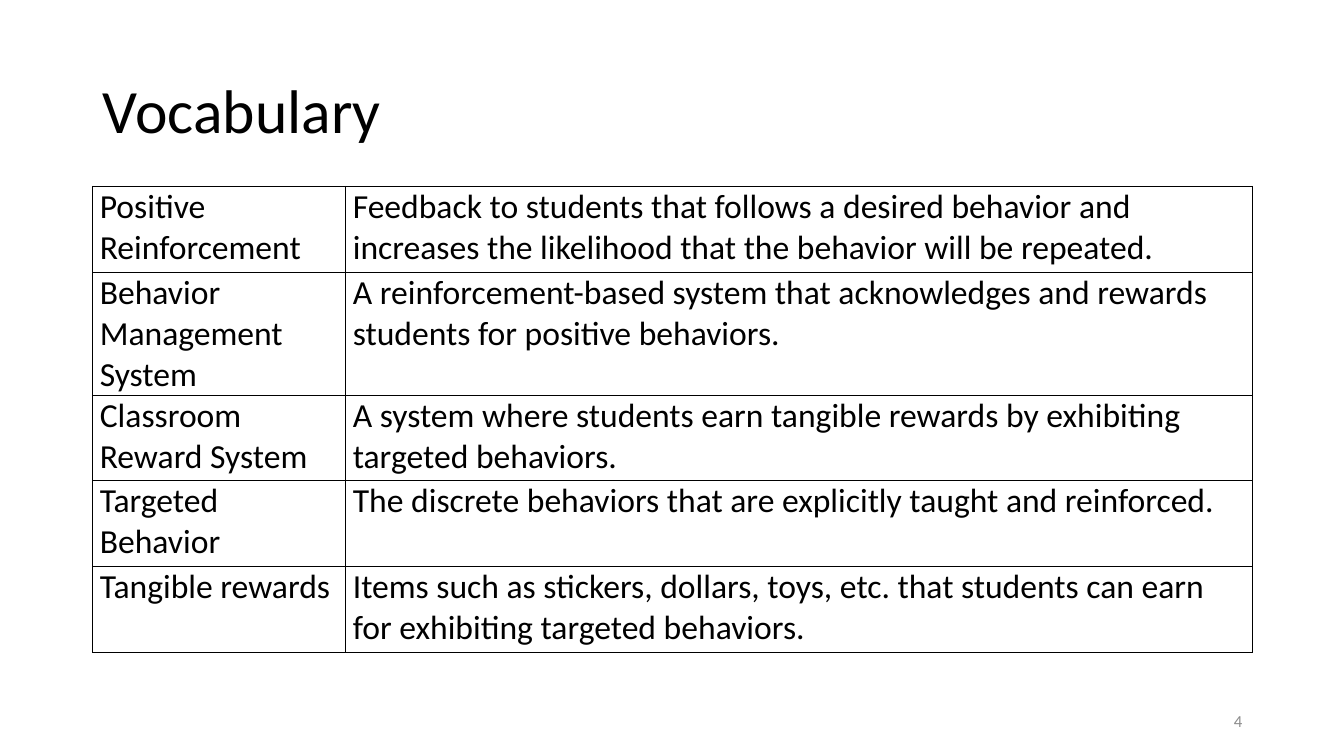
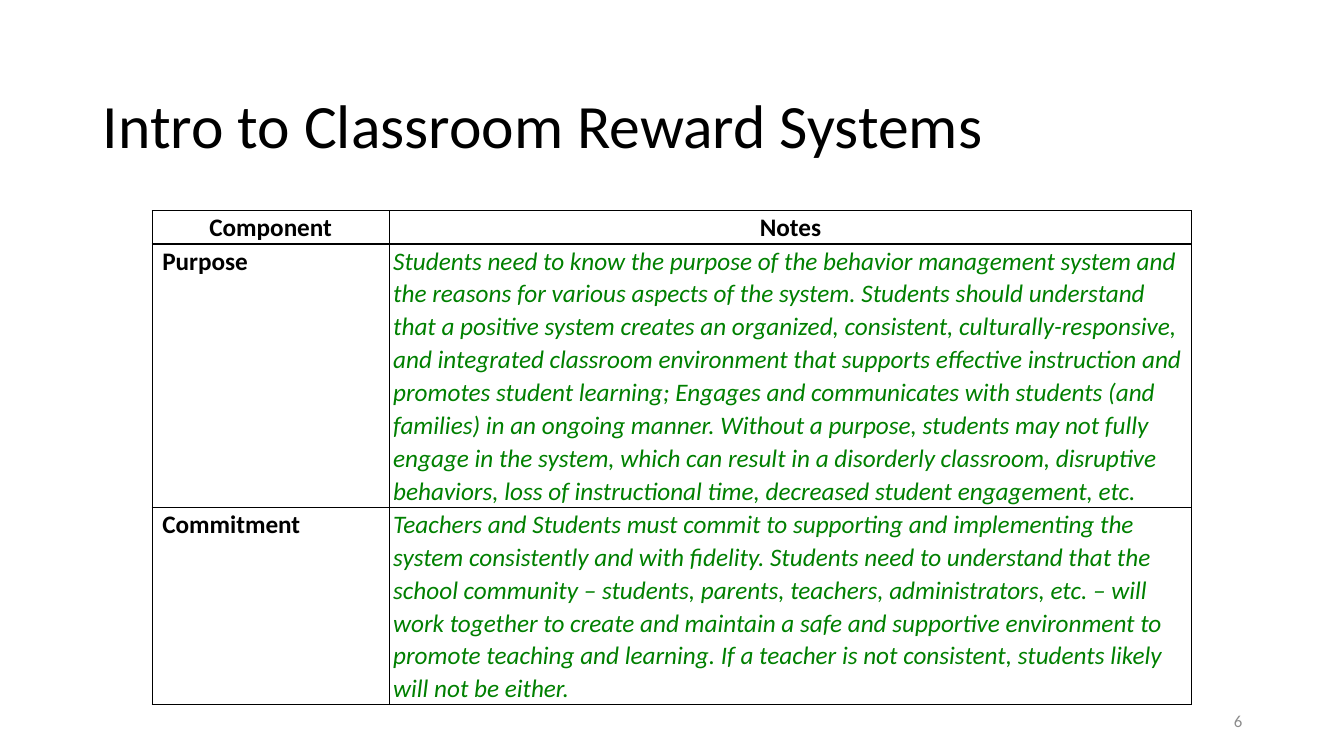
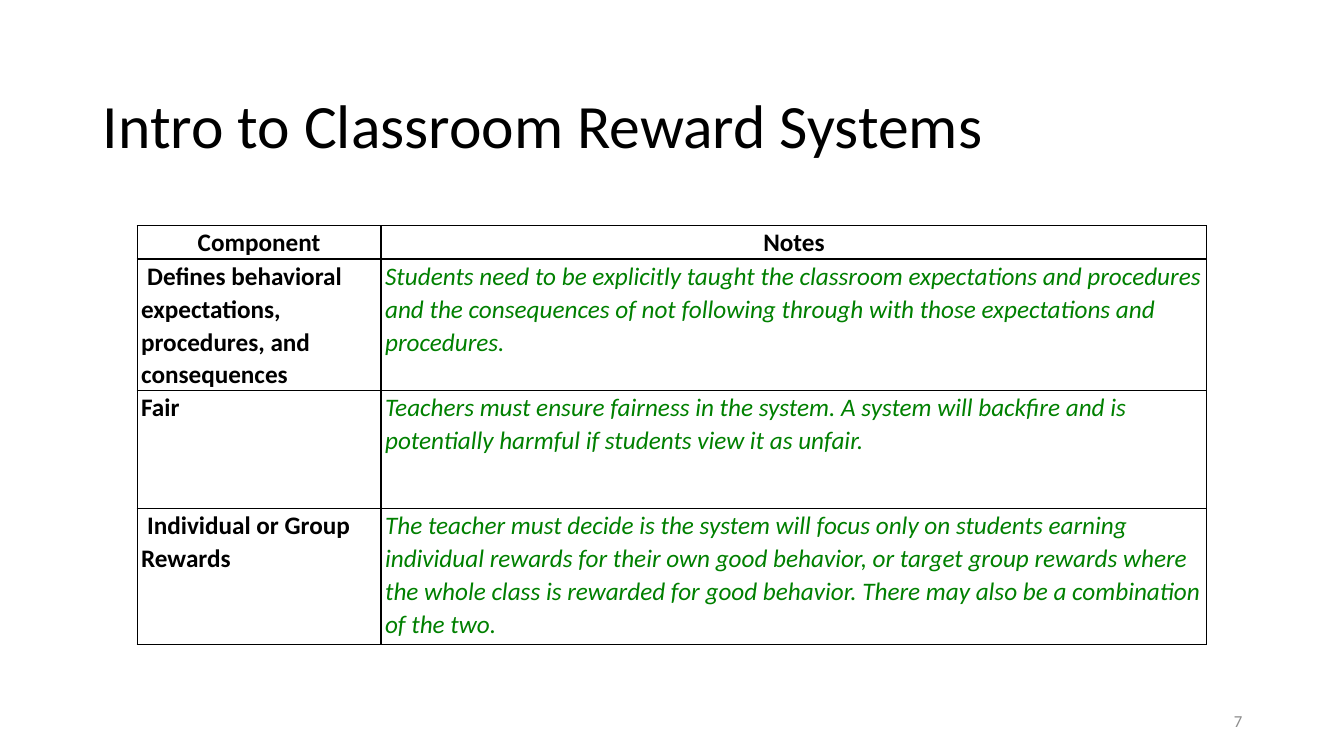
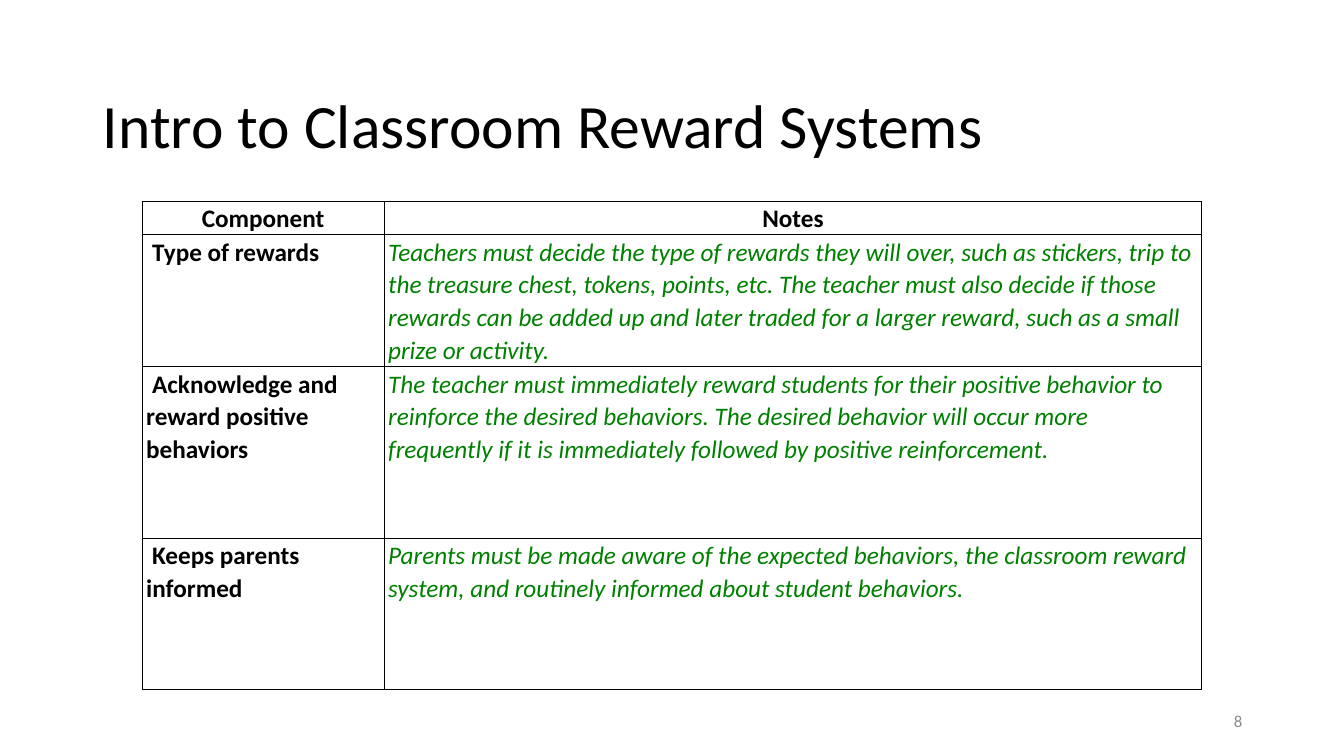
from lxml.etree import SubElement
from pptx import Presentation
from pptx.dml.color import RGBColor
from pptx.enum.text import MSO_ANCHOR, MSO_AUTO_SIZE, PP_ALIGN
from pptx.oxml.ns import qn
from pptx.util import Inches, Pt

BLACK = RGBColor(0x00, 0x00, 0x00)
GREEN = RGBColor(0x00, 0x80, 0x00)
GRAY = RGBColor(0x8C, 0x8C, 0x8C)
FONT = "Calibri"
INTRO = "Intro to Classroom Reward Systems"
HEAD = (0.33, "Component", "Notes", 0)
LEAD = 0.06  # first-line indent of most component names

# Each row: height, left text, right text, first-line indent of the left text
VOCAB = [
    (0.85, "Positive Reinforcement",
     "Feedback to students that follows a desired behavior and increases the "
     "likelihood that the behavior will be repeated.", 0),
    (1.22, "Behavior Management System",
     "A reinforcement-based system that acknowledges and rewards students for "
     "positive behaviors.", 0),
    (0.85, "Classroom Reward System",
     "A system where students earn tangible rewards by exhibiting targeted "
     "behaviors.", 0),
    (0.85, "Targeted Behavior",
     "The discrete behaviors that are explicitly taught and reinforced.", 0),
    (0.85, "Tangible rewards",
     "Items such as stickers, dollars, toys, etc. that students can earn for "
     "exhibiting targeted behaviors.", 0),
]
BASICS = [
    HEAD,
    (2.61, "Purpose",
     "Students need to know the purpose of the behavior management system and "
     "the reasons for various aspects of the system. Students should understand "
     "that a positive system creates an organized, consistent, "
     "culturally-responsive, and integrated classroom environment that supports "
     "effective instruction and promotes student learning; Engages and "
     "communicates with students (and families) in an ongoing manner. Without a "
     "purpose, students may not fully engage in the system, which can result in "
     "a disorderly classroom, disruptive behaviors, loss of instructional time, "
     "decreased student engagement, etc.", LEAD),
    (1.96, "Commitment",
     "Teachers and Students must commit to supporting and implementing the "
     "system consistently and with fidelity. Students need to understand that "
     "the school community – students, parents, teachers, administrators, etc. – "
     "will work together to create and maintain a safe and supportive "
     "environment to promote teaching and learning. If a teacher is not "
     "consistent, students likely will not be either.", LEAD),
]
RULES = [
    HEAD,
    (1.3, "Defines behavioral expectations, procedures, and consequences",
     "Students need to be explicitly taught the classroom expectations and "
     "procedures and the consequences of not following through with those "
     "expectations and procedures.", LEAD),
    (1.17, "Fair",
     "Teachers must ensure fairness in the system. A system will backfire and is "
     "potentially harmful if students view it as unfair.", 0),
    (1.35, "Individual or Group Rewards",
     "The teacher must decide is the system will focus only on students earning "
     "individual rewards for their own good behavior, or target group rewards "
     "where the whole class is rewarded for good behavior. There may also be a "
     "combination of the two.", LEAD),
]
REWARDS = [
    HEAD,
    (1.31, "Type of rewards",
     "Teachers must decide the type of rewards they will over, such as stickers, "
     "trip to the treasure chest, tokens, points, etc. The teacher must also "
     "decide if those rewards can be added up and later traded for a larger "
     "reward, such as a small prize or activity.", LEAD),
    (1.7, "Acknowledge and reward positive behaviors",
     "The teacher must immediately reward students for their positive behavior "
     "to reinforce the desired behaviors. The desired behavior will occur more "
     "frequently if it is immediately followed by positive reinforcement.", LEAD),
    (1.5, "Keeps parents informed",
     "Parents must be made aware of the expected behaviors, the classroom reward "
     "system, and routinely informed about student behaviors.", LEAD),
]

# Each slide: number, title, title top, table left, table top, columns, rows
SLIDES = [
    (4, "Vocabulary", 0.4, 0.92, 1.85, (2.51, 8.99), VOCAB),
    (6, INTRO, 0.55, 1.51, 2.09, (2.35, 7.96), BASICS),
    (7, INTRO, 0.55, 1.36, 2.24, (2.42, 8.19), RULES),
    (8, INTRO, 0.55, 1.41, 2.0, (2.4, 8.11), REWARDS),
]


def style(para, size, color=BLACK, align=PP_ALIGN.LEFT, space=1.0):
    """Format a paragraph and its runs; return the font of the first run."""
    para.alignment = align
    para.line_spacing = space
    for run in para.runs:
        run.font.name = FONT
        run.font.size = Pt(size)
        run.font.color.rgb = color
    return para.runs[0].font


def frame(cell, inset):
    """Give a cell thin black borders, no fill and its side margins."""
    props = cell._tc.get_or_add_tcPr()
    for side in ("lnL", "lnR", "lnT", "lnB"):
        line = SubElement(props, qn("a:" + side), w=str(Pt(1)))
        fill = SubElement(line, qn("a:solidFill"))
        SubElement(fill, qn("a:srgbClr"), val=str(BLACK))
    cell.fill.background()
    cell.margin_left = cell.margin_right = Inches(inset)
    cell.margin_top = cell.margin_bottom = 0


deck = Presentation()
deck.slide_width = Inches(13.33)
deck.slide_height = Inches(7.5)

for number, name, high, left, top, cols, rows in SLIDES:
    slide = deck.slides.add_slide(deck.slide_layouts[5])
    title = slide.shapes.title
    title.left, title.top = Inches(0.92), Inches(high)
    title.width, title.height = Inches(11.5), Inches(1.45)
    title.text_frame.text = name
    title.text_frame.auto_size = MSO_AUTO_SIZE.NONE
    title.text_frame.vertical_anchor = MSO_ANCHOR.MIDDLE
    style(title.text_frame.paragraphs[0], 44, space=0.9)

    table = slide.shapes.add_table(
        len(rows), 2, Inches(left), Inches(top), Inches(sum(cols)),
        Inches(sum(row[0] for row in rows))).table
    table.first_row = table.horz_banding = False
    for col, width in zip(table.columns, cols):
        col.width = Inches(width)

    vocab = rows is VOCAB
    for r, (height, label, note, indent) in enumerate(rows):
        table.rows[r].height = Inches(height)
        head = rows[r] is HEAD
        for c, text in enumerate((label, note)):
            cell = table.cell(r, c)
            frame(cell, 0.07 if vocab else 0.04)
            cell.text_frame.text = text
            para = cell.text_frame.paragraphs[0]
            if vocab:
                style(para, 24)
                continue
            green = c == 1 and not head
            font = style(para, 18, GREEN if green else BLACK,
                         PP_ALIGN.CENTER if head else PP_ALIGN.LEFT, 1.07)
            font.bold, font.italic = not green, green
            if c == 0 and indent:
                para._p.get_or_add_pPr().set("indent", str(Inches(indent)))

    box = slide.shapes.add_textbox(
        Inches(9.42), Inches(6.95), Inches(3), Inches(0.4))
    box.text_frame.word_wrap = True
    box.text_frame.vertical_anchor = MSO_ANCHOR.MIDDLE
    box.text_frame.text = str(number)
    style(box.text_frame.paragraphs[0], 12, GRAY, PP_ALIGN.RIGHT)

deck.save("out.pptx")
